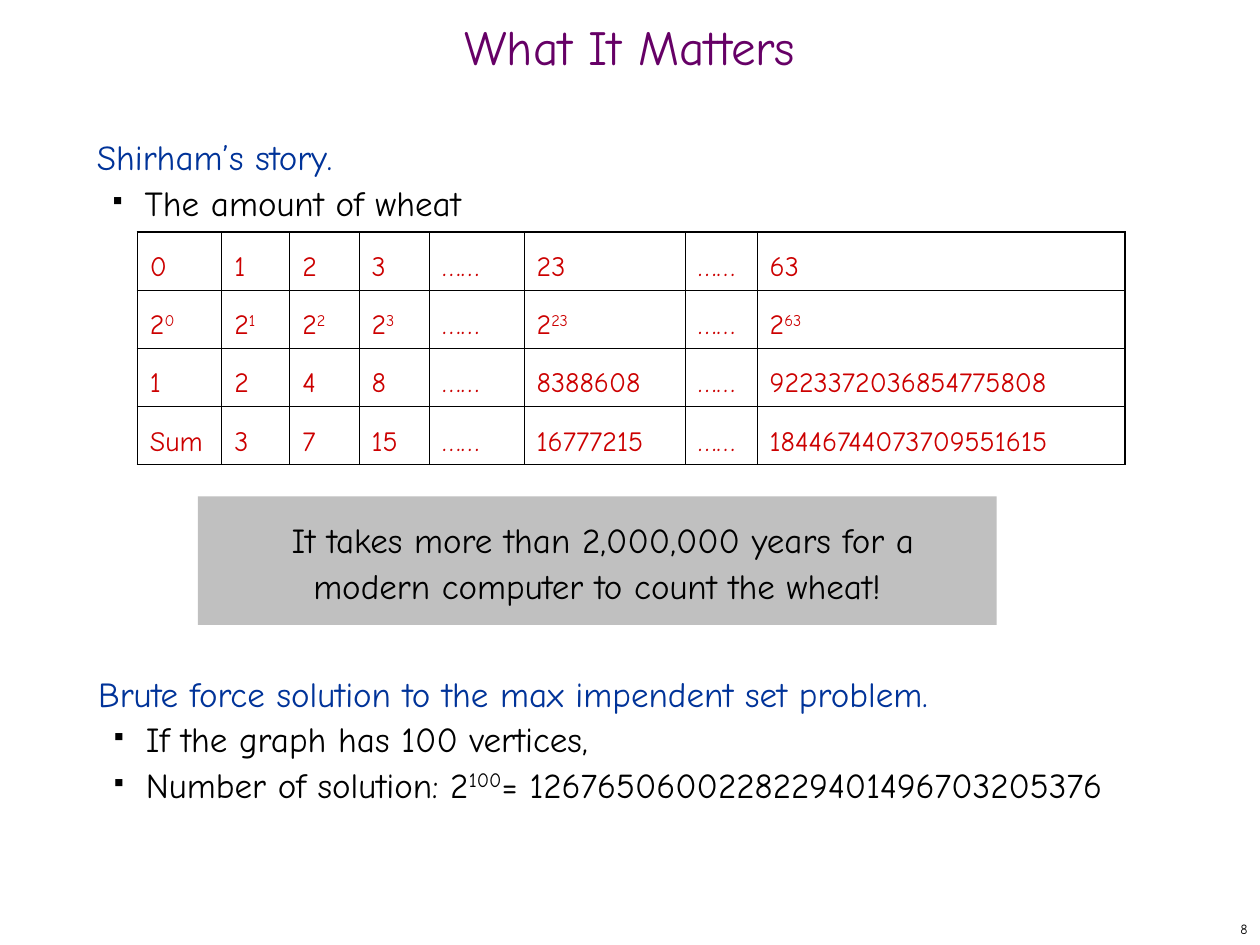
import pptx
import pptx.util
import pptx.dml.color
import pptx.enum.shapes
import pptx.enum.text
import pptx.oxml
import pptx.oxml.ns
from dataclasses import dataclass

Inches = pptx.util.Inches
Pt = pptx.util.Pt
ALIGN = pptx.enum.text.PP_ALIGN
ANCHOR = pptx.enum.text.MSO_ANCHOR


@dataclass
class Theme:
    font: str = "Comic Neue"
    title: str = "660066"
    head: str = "003399"
    text: str = "000000"
    cell: str = "CC0000"
    panel: str = "C0C0C0"
    big: int = 28
    body: int = 20
    small: int = 16
    tiny: int = 8
    lead: int = 26
    thin: float = 0.45
    thick: float = 1.08


theme = Theme()

TITLE = "What It Matters"
PAGE = "8"
STORY = ("Shirham’s story.", ["The amount of wheat"])
BRUTE = (
    "Brute force solution to the max impendent set problem.",
    [
        "If the graph has 100 vertices,",
        "Number of solution: 2^100^= 1267650600228229401496703205376",
    ],
)
CLAIM = " It takes more than 2,000,000 years for a modern computer to count the wheat!"
WHEAT = [
    ["0", "1", "2", "3", "……", "23", "……", "63"],
    ["2^0", "2^1", "2^2", "2^3", "……", "2^23", "……", "2^63"],
    ["1", "2", "4", "8", "……", "8388608", "……", "9223372036854775808"],
    ["Sum", "3", "7", "15", "……", "16777215", "……", "18446744073709551615"],
]
WIDTHS = [0.67, 0.54, 0.55, 0.56, 0.75, 1.28, 0.57, 2.92]
HEIGHT = 0.46


def rgb(color):
    return pptx.dml.color.RGBColor.from_string(color)


def add_xml(parent, body):
    space = pptx.oxml.ns.nsdecls("a")
    parent.append(pptx.oxml.parse_xml(body.replace(" ", f" {space} ", 1)))


def write(para, text, size, color, align=ALIGN.LEFT, lead=Pt(theme.lead)):
    para.alignment = align
    para.line_spacing = lead
    para.font.name = theme.font
    para.font.size = Pt(size)
    para.font.color.rgb = rgb(color)
    for i, part in enumerate(text.split("^")):
        run = para.add_run()
        run.text = part
        if i % 2:
            run.font._element.set("baseline", "30000")


def add_box(slide, area, anchor=ANCHOR.TOP):
    frame = slide.shapes.add_textbox(*map(Inches, area)).text_frame
    frame.word_wrap = True
    frame.vertical_anchor = anchor
    return frame


def add_list(slide, area, block):
    head, items = block
    frame = add_box(slide, area)
    write(frame.paragraphs[0], head, theme.body, theme.head)
    for item in items:
        para = frame.add_paragraph()
        para.level = 1
        props = para._p.get_or_add_pPr()
        props.set("marL", str(Inches(0.38)))
        props.set("indent", str(Inches(-0.25)))
        add_xml(props, f'<a:buClr ><a:srgbClr val="{theme.text}"/></a:buClr>')
        add_xml(props, '<a:buSzPct val="35000"/>')
        add_xml(props, '<a:buChar char="■"/>')
        write(para, item, theme.body, theme.text)


def add_edge(cell, side, width):
    add_xml(
        cell._tc.get_or_add_tcPr(),
        f'<a:{side} w="{Pt(width)}"><a:solidFill>'
        f'<a:srgbClr val="{theme.text}"/></a:solidFill></a:{side}>',
    )


def add_grid(slide, left, top):
    rows, cols = len(WHEAT), len(WIDTHS)
    size = (sum(WIDTHS), rows * HEIGHT)
    table = slide.shapes.add_table(rows, cols, *map(Inches, (left, top, *size))).table
    table.first_row = False
    table.horz_banding = False
    for col, width in zip(table.columns, WIDTHS):
        col.width = Inches(width)
    for r, line in enumerate(WHEAT):
        table.rows[r].height = Inches(HEIGHT)
        for c, text in enumerate(line):
            cell = table.cell(r, c)
            outer = {"lnL": c == 0, "lnR": c == cols - 1, "lnT": r == 0, "lnB": r == rows - 1}
            for side, edge in outer.items():
                add_edge(cell, side, theme.thick if edge else theme.thin)
            cell.fill.background()
            write(cell.text_frame.paragraphs[0], text, theme.small, theme.cell)


def add_panel(slide, area):
    kind = pptx.enum.shapes.MSO_SHAPE.RECTANGLE
    panel = slide.shapes.add_shape(kind, *map(Inches, area))
    panel.shadow.inherit = False
    panel.fill.solid()
    panel.fill.fore_color.rgb = rgb(theme.panel)
    panel.line.fill.background()
    frame = panel.text_frame
    frame.word_wrap = True
    frame.vertical_anchor = ANCHOR.TOP
    frame.margin_left = frame.margin_right = Inches(0.2)
    frame.margin_top = frame.margin_bottom = Inches(0.15)
    write(frame.paragraphs[0], CLAIM, theme.body, theme.text, ALIGN.CENTER)


def main():
    deck = pptx.Presentation()
    deck.slide_width, deck.slide_height = Inches(10), Inches(7.5)
    slide = deck.slides.add_slide(deck.slide_layouts[6])
    page = add_box(slide, (7.92, 7.25, 2.08, 0.25), ANCHOR.MIDDLE)
    write(page.paragraphs[0], PAGE, theme.tiny, theme.text, ALIGN.RIGHT, 1.0)
    title = add_box(slide, (0, 0.17, 10, 0.5), ANCHOR.MIDDLE)
    write(title.paragraphs[0], TITLE, theme.big, theme.title, ALIGN.CENTER, 0.7)
    add_list(slide, (0.67, 1, 8.73, 2.79), STORY)
    add_grid(slide, 1.09, 1.84)
    add_list(slide, (0.68, 5.26, 8.89, 1.58), BRUTE)
    add_panel(slide, (1.57, 3.94, 6.34, 1.02))
    deck.save("out.pptx")


if __name__ == "__main__":
    main()
